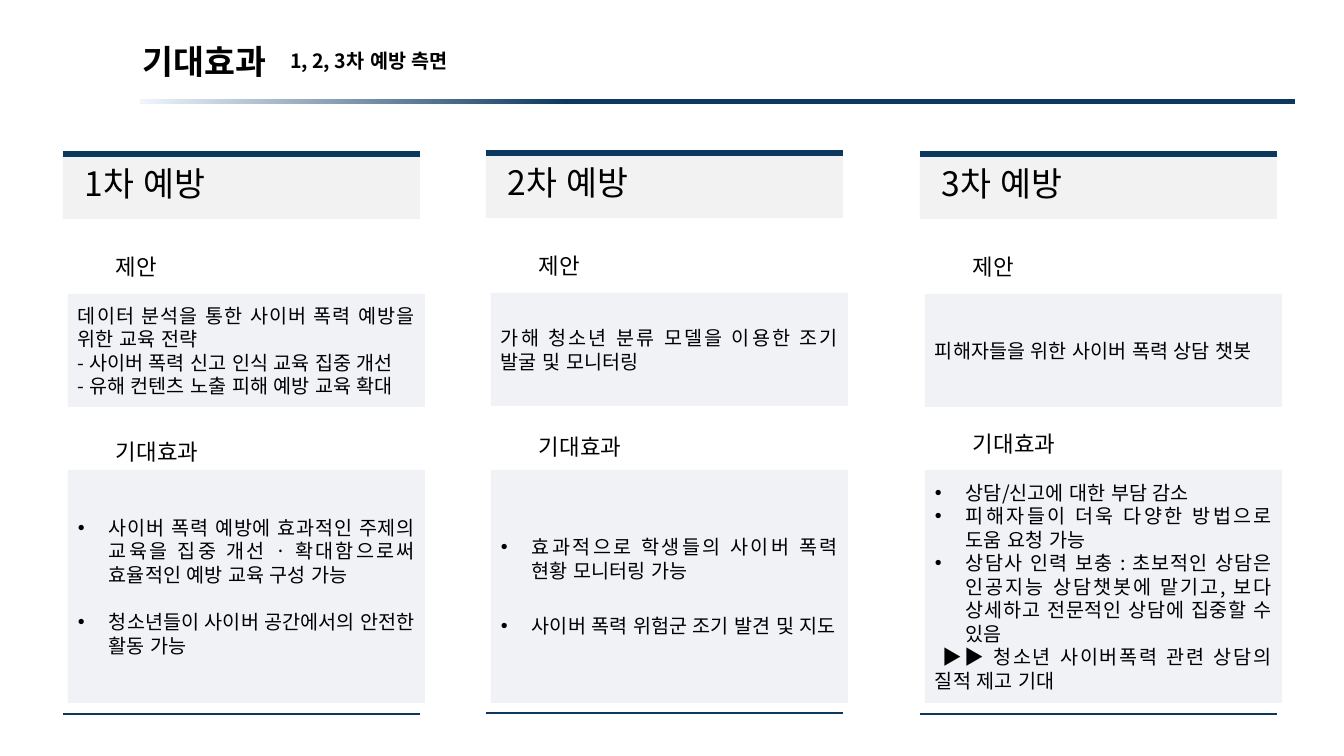
from pptx import Presentation
from pptx.dml.color import RGBColor
from pptx.enum.lang import MSO_LANGUAGE_ID
from pptx.enum.shapes import MSO_CONNECTOR, MSO_SHAPE
from pptx.enum.text import MSO_ANCHOR, MSO_AUTO_SIZE, PP_ALIGN
from pptx.oxml.ns import qn
from pptx.util import Pt
from lxml import etree

RECT, STRAIGHT = MSO_SHAPE.RECTANGLE, MSO_CONNECTOR.STRAIGHT
TOP, MIDDLE = MSO_ANCHOR.TOP, MSO_ANCHOR.MIDDLE
LEFT, JUSTIFY = PP_ALIGN.LEFT, PP_ALIGN.JUSTIFY
NO_FIT, KOREAN = MSO_AUTO_SIZE.NONE, MSO_LANGUAGE_ID.KOREAN

FONT = "Noto Sans CJK KR"
NAVY, PALE, GREY, PANEL, BLACK = "0C3860", "EFF5FB", "F2F2F2", "F0F2F6", "000000"
PX = 914400 / 100.8

TITLE = "기대효과"
SUBTITLE = "1, 2, 3차 예방 측면"
PROPOSAL, EFFECT = "제안", "기대효과"

# Effects are (text, bulleted, space before in points)
COLUMNS = [
    dict(name="1차 예방", x=63, dy=0, effect_label_y=433,
         proposal=["데이터 분석을 통한 사이버 폭력 예방을 위한 교육 전략",
                   "- 사이버 폭력 신고 인식 교육 집중 개선",
                   "- 유해 컨텐츠 노출 피해 예방 교육 확대"],
         effects=[("사이버 폭력 예방에 효과적인 주제의 교육을 집중 개선 · 확대함으로써 "
                   "효율적인 예방 교육 구성 가능", True, 0),
                  ("청소년들이 사이버 공간에서의 안전한 활동 가능", True, 17)]),
    dict(name="2차 예방", x=486, dy=-1, effect_label_y=428,
         proposal=["가해 청소년 분류 모델을 이용한 조기 발굴 및 모니터링"],
         effects=[("효과적으로 학생들의 사이버 폭력 현황 모니터링 가능", True, 0),
                  ("사이버 폭력 위험군 조기 발견 및 지도", True, 23)]),
    dict(name="3차 예방", x=920, dy=0, effect_label_y=425,
         proposal=["피해자들을 위한 사이버 폭력 상담 챗봇"],
         effects=[("상담/신고에 대한 부담 감소", True, 0),
                  ("피해자들이 더욱 다양한 방법으로 도움 요청 가능", True, 0),
                  ("상담사 인력 보충 : 초보적인 상담은 인공지능 상담챗봇에 맡기고, 보다 "
                   "상세하고 전문적인 상담에 집중할 수 있음", True, 0),
                  ("▶▶ 청소년 사이버폭력 관련 상담의 질적 제고 기대", False, 0)]),
]

COLUMN_W = 357
BULLET_INDENT, ARROW_INDENT = 31, 8


def px(n):
    return round(n * PX)


def rgb(code):
    return RGBColor.from_string(code)


def place(s, x, y, w, h):
    s.left, s.top, s.width, s.height = px(x), px(y), px(w), px(h)


def set_frame(tf, anchor=TOP, inset_x=10, inset_y=5):
    tf.word_wrap = True
    tf.auto_size = NO_FIT
    tf.vertical_anchor = anchor
    tf.margin_left = tf.margin_right = px(inset_x)
    tf.margin_top = tf.margin_bottom = px(inset_y)


def write(p, text, size, bold=False, align=LEFT, bullet=False, left=0, first=0, before=0):
    """Fill one paragraph; left and first are its indents in px."""
    pPr = p._p.get_or_add_pPr()
    pPr.set("marL", str(px(left)))
    pPr.set("indent", str(px(first)))
    if bullet:
        etree.SubElement(pPr, qn("a:buFont"), typeface="Arial")
        etree.SubElement(pPr, qn("a:buChar"), char="•")
    else:
        etree.SubElement(pPr, qn("a:buNone"))
    p.alignment = align
    p.space_before = Pt(before)
    r = p.add_run()
    r.text = text
    r.font.size = Pt(size)
    r.font.bold = bold
    r.font.color.rgb = rgb(BLACK)
    r.font.name = FONT
    r.font.language_id = KOREAN
    etree.SubElement(r._r.get_or_add_rPr(), qn("a:ea"), typeface=FONT)


def next_paragraph(tf, index):
    return tf.add_paragraph() if index else tf.paragraphs[0]


def add_rect(slide, x, y, w, h, color):
    s = slide.shapes.add_shape(RECT, px(x), px(y), px(w), px(h))
    s.shadow.inherit = False
    s.fill.solid()
    s.fill.fore_color.rgb = rgb(color)
    s.line.fill.background()
    return s


def add_rule(slide, x, y, width):
    c = slide.shapes.add_connector(STRAIGHT, px(x), px(y), px(x + COLUMN_W), px(y))
    c.line.color.rgb = rgb(NAVY)
    c.line.width = Pt(width)
    etree.SubElement(c._element.spPr, qn("a:effectLst"))


def add_label(slide, x, y, w, h, text, size):
    tf = slide.shapes.add_textbox(px(x), px(y), px(w), px(h)).text_frame
    set_frame(tf)
    write(tf.paragraphs[0], text, size)


def add_panel(slide, x, y, h):
    tf = add_rect(slide, x, y, COLUMN_W, h, PANEL).text_frame
    set_frame(tf, MIDDLE)
    return tf


def add_heading(slide):
    bar = add_rect(slide, 140, 99, 1155, 5, NAVY)
    bar.fill.gradient()
    bar.fill.gradient_angle = 0
    for stop, color, position in zip(bar.fill.gradient_stops, (PALE, NAVY), (0, 0.37)):
        stop.color.rgb = rgb(color)
        stop.position = position

    title, subtitle = slide.shapes.title, slide.placeholders[1]
    place(title, 133, 40, 529, 46)
    set_frame(title.text_frame)
    place(subtitle, 286, 41, 521, 43)
    set_frame(subtitle.text_frame, MIDDLE, 4, 4)
    for s, text, size in ((title, TITLE, 24), (subtitle, SUBTITLE, 14)):
        p = s.text_frame.paragraphs[0]
        write(p, text, size, bold=True)
        p.line_spacing = 0.9


def add_column(slide, name, x, dy, effect_label_y, proposal, effects):
    add_rect(slide, x, 153 + dy, COLUMN_W, 66, GREY)
    add_rule(slide, x, 154 + dy, 4.5)
    add_label(slide, x + 12, 158 + dy, 302, 50, name, 24)

    add_label(slide, x + 43, 248 + dy, 293, 37, PROPOSAL, 16)
    tf = add_panel(slide, x + 5, 294 + dy, 113)
    for i, text in enumerate(proposal):
        write(next_paragraph(tf, i), text, 14, align=JUSTIFY)

    add_label(slide, x + 43, effect_label_y, 293, 37, EFFECT, 16)
    tf = add_panel(slide, x + 5, 470, 233)
    for i, (text, bullet, before) in enumerate(effects):
        left, first = (BULLET_INDENT, -BULLET_INDENT) if bullet else (0, ARROW_INDENT)
        write(next_paragraph(tf, i), text, 14, align=JUSTIFY, bullet=bullet,
              left=left, first=first, before=before)
    add_rule(slide, x, 714 + dy, 1.5)


def main():
    prs = Presentation()
    prs.slide_width, prs.slide_height = px(1344), px(756)
    slide = prs.slides.add_slide(prs.slide_layouts[1])
    add_heading(slide)
    for column in COLUMNS:
        add_column(slide, **column)
    prs.save("out.pptx")


if __name__ == "__main__":
    main()
